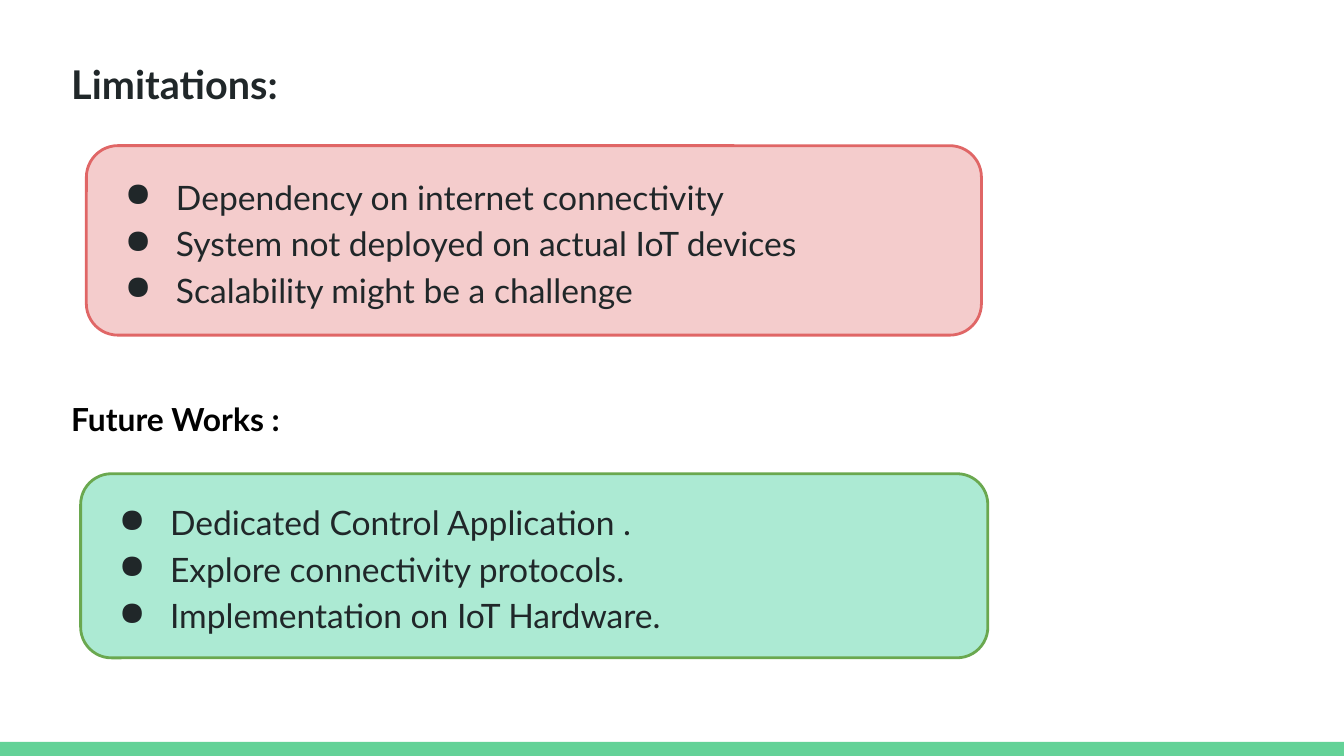
import lxml.etree
import pptx
import pptx.dml.color
import pptx.enum.shapes
import pptx.enum.text
import pptx.oxml.ns
import pptx.util

COLORS = {
    "ink": "202729",
    "black": "000000",
    "bar": "63D297",
    "pink": "F4CCCC",
    "red": "E06666",
    "mint": "9DE7CB",
    "green": "6AA84F",
}
FONT = "Lato"
COLUMNS, ROWS = 100, 56.25
CELL = pptx.util.Inches(0.1)
LIMITATIONS = [
    "Dependency on internet connectivity",
    "System not deployed on actual IoT devices",
    "Scalability might be a challenge",
]
FUTURE_WORKS = [
    "Dedicated Control Application .",
    "Explore connectivity protocols.",
    "Implementation on IoT Hardware.",
]


def cells(*counts):
    """Turn counts of grid columns or rows into lengths."""
    return [round(count * CELL) for count in counts]


def rgb(name):
    return pptx.dml.color.RGBColor.from_string(COLORS[name])


def add_xml(parent, tag, **attributes):
    return lxml.etree.SubElement(parent, pptx.oxml.ns.qn(tag), attributes)


def format_runs(para, size, color, bold=False):
    for span in para.runs:
        span.font.name = FONT
        span.font.size = pptx.util.Pt(size)
        span.font.bold = bold
        span.font.color.rgb = rgb(color)


def set_frame(frame, anchor):
    frame.word_wrap = True
    frame.auto_size = pptx.enum.text.MSO_AUTO_SIZE.NONE
    frame.vertical_anchor = anchor
    frame.margin_left = frame.margin_right = CELL
    frame.margin_top = frame.margin_bottom = CELL


def write_heading(box, text, size, color):
    frame = box.text_frame
    set_frame(frame, pptx.enum.text.MSO_ANCHOR.TOP)
    frame.text = text
    para = frame.paragraphs[0]
    para.alignment = pptx.enum.text.PP_ALIGN.LEFT
    format_runs(para, size, color, bold=True)


def add_filled_shape(page, kind, place, fill):
    shape = page.shapes.add_shape(kind, *cells(*place))
    shape.shadow.inherit = False
    shape.fill.solid()
    shape.fill.fore_color.rgb = rgb(fill)
    shape.line.fill.background()
    return shape


def add_bullet(para):
    props = para._p.get_or_add_pPr()
    props.set("marL", str(pptx.util.Inches(0.5)))
    props.set("indent", str(pptx.util.Inches(-0.38)))
    add_xml(add_xml(props, "a:buClr"), "a:srgbClr", val=COLORS["ink"])
    add_xml(props, "a:buChar", char="●")


def add_card(page, place, fill, line, items):
    """Add a rounded card that holds a bulleted list."""
    card = add_filled_shape(
        page, pptx.enum.shapes.MSO_SHAPE.ROUNDED_RECTANGLE, place, fill)
    card.line.color.rgb = rgb(line)
    card.line.width = pptx.util.Pt(1.5)
    frame = card.text_frame
    set_frame(frame, pptx.enum.text.MSO_ANCHOR.MIDDLE)
    frame.text = "\n".join(items)
    for para in frame.paragraphs:
        add_bullet(para)
        para.alignment = pptx.enum.text.PP_ALIGN.LEFT
        para.line_spacing = 1.15
        format_runs(para, 18, "ink")
    return card


def set_opacity(shape, percent):
    color = shape._element.spPr.find(
        pptx.oxml.ns.qn("a:solidFill") + "/" + pptx.oxml.ns.qn("a:srgbClr"))
    add_xml(color, "a:alpha", val=str(percent * 1000))


def main():
    deck = pptx.Presentation()
    deck.slide_width, deck.slide_height = cells(COLUMNS, ROWS)
    page = deck.slides.add_slide(deck.slide_layouts.get_by_name("Title Only"))

    add_filled_shape(page, pptx.enum.shapes.MSO_SHAPE.RECTANGLE,
                     (0, ROWS - 1.05, COLUMNS, 1.05), "bar")

    title = page.shapes.title
    title.left, title.top, title.width, title.height = cells(4.3, 3.45, 93.2, 6.3)
    write_heading(title, "Limitations:", 21.2, "ink")

    subtitle = page.shapes.add_textbox(*cells(4.3, 28.73, 44.2, 4.9))
    write_heading(subtitle, "Future Works :", 17, "black")

    add_card(page, (6.43, 10.84, 66.6, 14.1), "pink", "red", LIMITATIONS)
    future = add_card(page, (6, 35.25, 67.5, 13.7), "mint", "green", FUTURE_WORKS)
    set_opacity(future, 84)

    deck.save("out.pptx")


if __name__ == "__main__":
    main()
